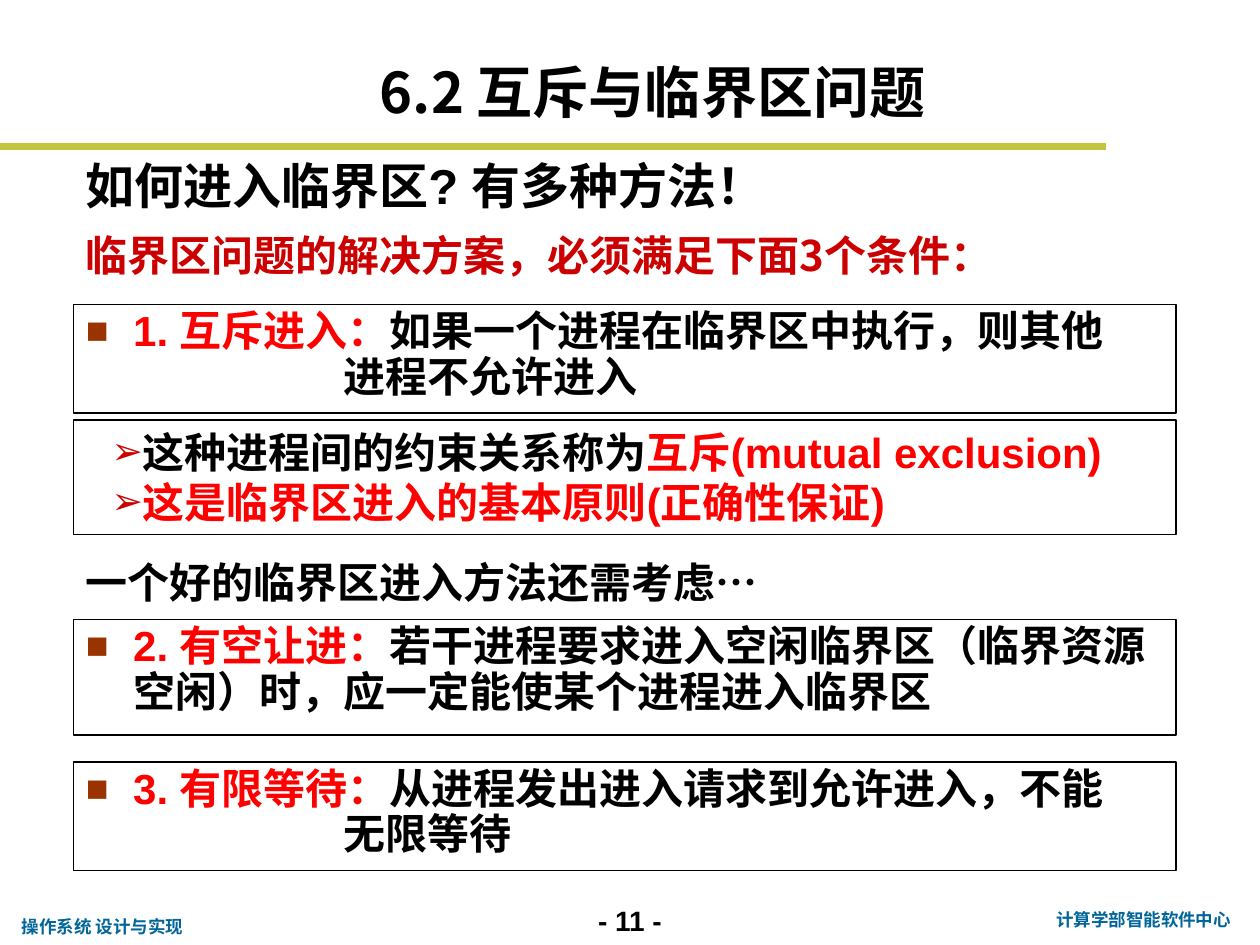
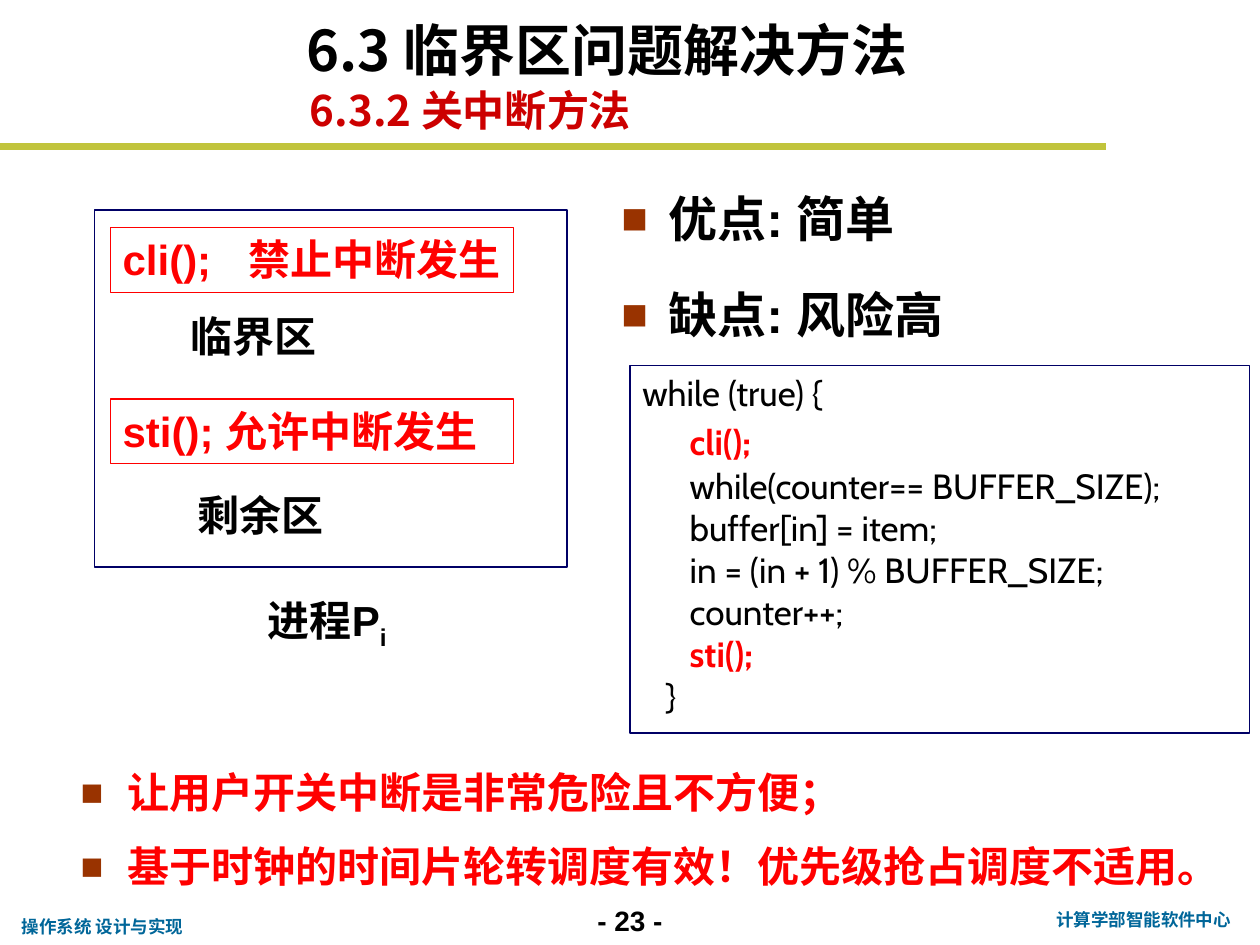
from lxml import etree
from pptx import Presentation
from pptx.dml.color import RGBColor
from pptx.enum.shapes import MSO_CONNECTOR, MSO_SHAPE
from pptx.enum.text import MSO_ANCHOR, PP_ALIGN
from pptx.oxml.ns import qn
from pptx.util import Pt

TOP, MIDDLE, BOTTOM = MSO_ANCHOR.TOP, MSO_ANCHOR.MIDDLE, MSO_ANCHOR.BOTTOM
LEFT, CENTER = PP_ALIGN.LEFT, PP_ALIGN.CENTER
RECTANGLE, STRAIGHT = MSO_SHAPE.RECTANGLE, MSO_CONNECTOR.STRAIGHT

BLACK, WHITE, RED, DARK_RED = "000000", "FFFFFF", "FF0000", "CC0000"
NAVY, BROWN, OLIVE, TEAL = "000066", "993300", "C1C43C", "006699"
BODY_FONT, CJK_FONT, CODE_FONT, FOOTER_FONT = "Arial", "Noto Sans CJK SC", "Cabin", "Roboto"

SQUARE, ARROW = ("■", BROWN), ("➢", DARK_RED)
CONTENT_LEFT, CONTENT_WIDTH = 42, 630
HANGING = 27
CONTINUATION = 147


def rgb(color):
    return RGBColor.from_string(color)


def add_child(parent, tag, **attributes):
    return etree.SubElement(parent, qn(tag), attributes)


def add_span(para, text, size=24, color=BLACK, bold=True, font=BODY_FONT, baseline=0):
    span = para.add_run()
    span.text = text
    span.font.size = Pt(size)
    span.font.bold = bold
    span.font.color.rgb = rgb(color)
    span.font.name = font
    properties = span.font._element
    add_child(properties, "a:ea", typeface=CJK_FONT)
    if baseline:
        properties.set("baseline", str(baseline * 1000))


def add_para(box, *spans, bullet=None, indent=0, hang=0, tab=None,
             align=LEFT, spacing=None, before=0, **style):
    """Add a paragraph; a span is a text or a (text, format) pair."""
    frame = box.text_frame
    para = frame.paragraphs[0]
    if para.runs:
        para = frame.add_paragraph()
    properties = para._p.get_or_add_pPr()
    properties.set("marL", str(int(Pt(indent))))
    properties.set("indent", str(int(Pt(-hang))))
    if bullet:
        symbol, color = bullet
        add_child(add_child(properties, "a:buClr"), "a:srgbClr", val=color)
        add_child(properties, "a:buSzPct", val="90000")
        add_child(properties, "a:buFont", typeface=BODY_FONT)
        add_child(properties, "a:buChar", char=symbol)
    if tab:
        stops = add_child(properties, "a:tabLst")
        add_child(stops, "a:tab", pos=str(int(Pt(tab))), algn="l")
    para.alignment = align
    if spacing:
        para.line_spacing = spacing
    if before:
        para.space_before = Pt(before)
    for span in spans:
        text, extra = (span, {}) if isinstance(span, str) else span
        add_span(para, text, **{**style, **extra})


def add_box(page, left, top, width, height, anchor=TOP):
    box = page.shapes.add_textbox(Pt(left), Pt(top), Pt(width), Pt(height))
    box.text_frame.word_wrap = True
    box.text_frame.vertical_anchor = anchor
    return box


def add_frame(page, left, top, width, height, line=BLACK, fill=None):
    """Add an outlined rectangle that can hold text from its top."""
    frame = page.shapes.add_shape(RECTANGLE, Pt(left), Pt(top), Pt(width), Pt(height))
    frame.shadow.inherit = False
    if fill:
        frame.fill.solid()
        frame.fill.fore_color.rgb = rgb(fill)
    else:
        frame.fill.background()
    frame.line.color.rgb = rgb(line)
    frame.line.width = Pt(0.75)
    frame.text_frame.word_wrap = True
    frame.text_frame.vertical_anchor = TOP
    return frame


def add_label(page, text, left, top, width, height, anchor=TOP, **style):
    add_para(add_box(page, left, top, width, height, anchor), text, **style)


def add_heading(page, text, left, top):
    add_label(page, text, left, top, 396, 45, BOTTOM, size=32, font=CJK_FONT)


def add_page(deck, number):
    """Add a page with the rule under the title and the footers."""
    page = deck.slides.add_slide(deck.slide_layouts[6])
    rule = page.shapes.add_connector(STRAIGHT, 0, Pt(84), Pt(632), Pt(84))
    rule.line.color.rgb = rgb(OLIVE)
    rule.line.width = Pt(4)
    add_child(rule._element.spPr, "a:effectLst")
    add_label(page, f"- {number} -", 324, 513, 72, 27, size=16, align=CENTER)
    footer = {"size": 10, "color": TEAL, "font": FOOTER_FONT}
    add_label(page, "计算学部智能软件中心", 592, 516, 123, 20, align=CENTER, **footer)
    add_label(page, "操作系统 设计与实现", 5.5, 520, 122, 20, **footer)
    return page


def add_condition(page, name, text, top, height, continuation=None):
    frame = add_frame(page, CONTENT_LEFT, top, CONTENT_WIDTH, height)
    add_para(frame, (name, {"color": RED}), text,
             bullet=SQUARE, indent=HANGING, hang=HANGING, spacing=0.9)
    if continuation:
        add_para(frame, continuation, indent=CONTINUATION, spacing=0.9)


def add_bullets(page, texts, left, top, width, height, **style):
    box = add_box(page, left, top, width, height)
    for index, text in enumerate(texts):
        add_para(box, text, bullet=SQUARE, indent=HANGING, hang=HANGING,
                 spacing=1.3, before=5 if index else 0, **style)


def build_conditions(deck):
    page = add_page(deck, 11)
    add_heading(page, "6.2 互斥与临界区问题", 210, 30)
    add_label(page, "如何进入临界区? 有多种方法！", CONTENT_LEFT, 85, 618, 41, MIDDLE, size=28)
    add_label(page, "临界区问题的解决方案，必须满足下面3个条件：", CONTENT_LEFT, 126,
              CONTENT_WIDTH, 36, MIDDLE, color=DARK_RED, font=CJK_FONT, spacing=1.1)
    add_condition(page, "1. 互斥进入：", "如果一个进程在临界区中执行，则其他",
                  174, 62, "进程不允许进入")

    principle = add_frame(page, CONTENT_LEFT, 240, CONTENT_WIDTH, 65.5)
    arrow = {"bullet": ARROW, "indent": 29, "hang": 14.5}
    add_para(principle, "这种进程间的约束关系称为",
             ("互斥(mutual exclusion)", {"color": RED}), **arrow)
    add_para(principle, "这是临界区进入的基本原则(正确性保证)", color=RED, **arrow)

    consider = add_box(page, CONTENT_LEFT, 306, 534, 36)
    add_para(consider, "一个好的临界区进入方法还需考虑", ("…", {"font": CJK_FONT}), spacing=1.3)
    add_condition(page, "2. 有空让进：",
                  "若干进程要求进入空闲临界区（临界资源空闲）时，应一定能使某个进程进入临界区",
                  354, 66)
    add_condition(page, "3. 有限等待：", "从进程发出进入请求到允许进入，不能",
                  435.5, 62, "无限等待")


def add_process(page):
    add_frame(page, 54, 120, 270, 204, line=NAVY)
    for text, top in (("cli();\t禁止中断发生", 130), ("sti(); 允许中断发生", 228)):
        call = add_frame(page, 63, top, 230.5, 37, line=RED)
        add_para(call, text, color=RED, tab=70)
    add_label(page, "临界区", 66, 174, 158, 36, align=CENTER)
    add_label(page, "剩余区", 70, 276, 158, 36, align=CENTER)
    name = add_box(page, 90, 336, 194, 36)
    add_para(name, "进程P", ("i", {"baseline": -25}), align=CENTER)


def add_code(page):
    code = add_frame(page, 360, 209, 354, 210, line=NAVY, fill=WHITE)
    key = {"color": RED, "bold": True}
    lines = [
        ["while (true) {"],
        [("     ", {"size": 24}), ("cli();", key)],
        ["      while(counter== BUFFER_SIZE);"],
        ["      buffer[in] = item;"],
        ["      in = (in + 1) % BUFFER_SIZE;"],
        ["      counter++;"],
        ["      ", ("sti();", key)],
        ["   }"],
    ]
    for spans in lines:
        add_para(code, *spans, size=20, bold=False, font=CODE_FONT)


def build_interrupts(deck):
    page = add_page(deck, 23)
    add_heading(page, "6.3 临界区问题解决方法", 168, 6)
    add_label(page, "6.3.2 关中断方法", 170, 47.5, 268, 30, MIDDLE,
              color=DARK_RED, font=CJK_FONT)
    add_process(page)
    for text, top in (("优点: 简单", 94), ("缺点: 风险高", 149)):
        add_bullets(page, [text], 348, top, 282, 68, size=28)
    add_code(page)
    add_bullets(page, ["让用户开关中断是非常危险且不方便；",
                       "基于时钟的时间片轮转调度有效！优先级抢占调度不适用。"],
                39, 426, 663, 76, color=RED)


def main():
    deck = Presentation()
    deck.slide_width, deck.slide_height = Pt(720), Pt(540)
    build_conditions(deck)
    build_interrupts(deck)
    deck.save("out.pptx")


if __name__ == "__main__":
    main()
